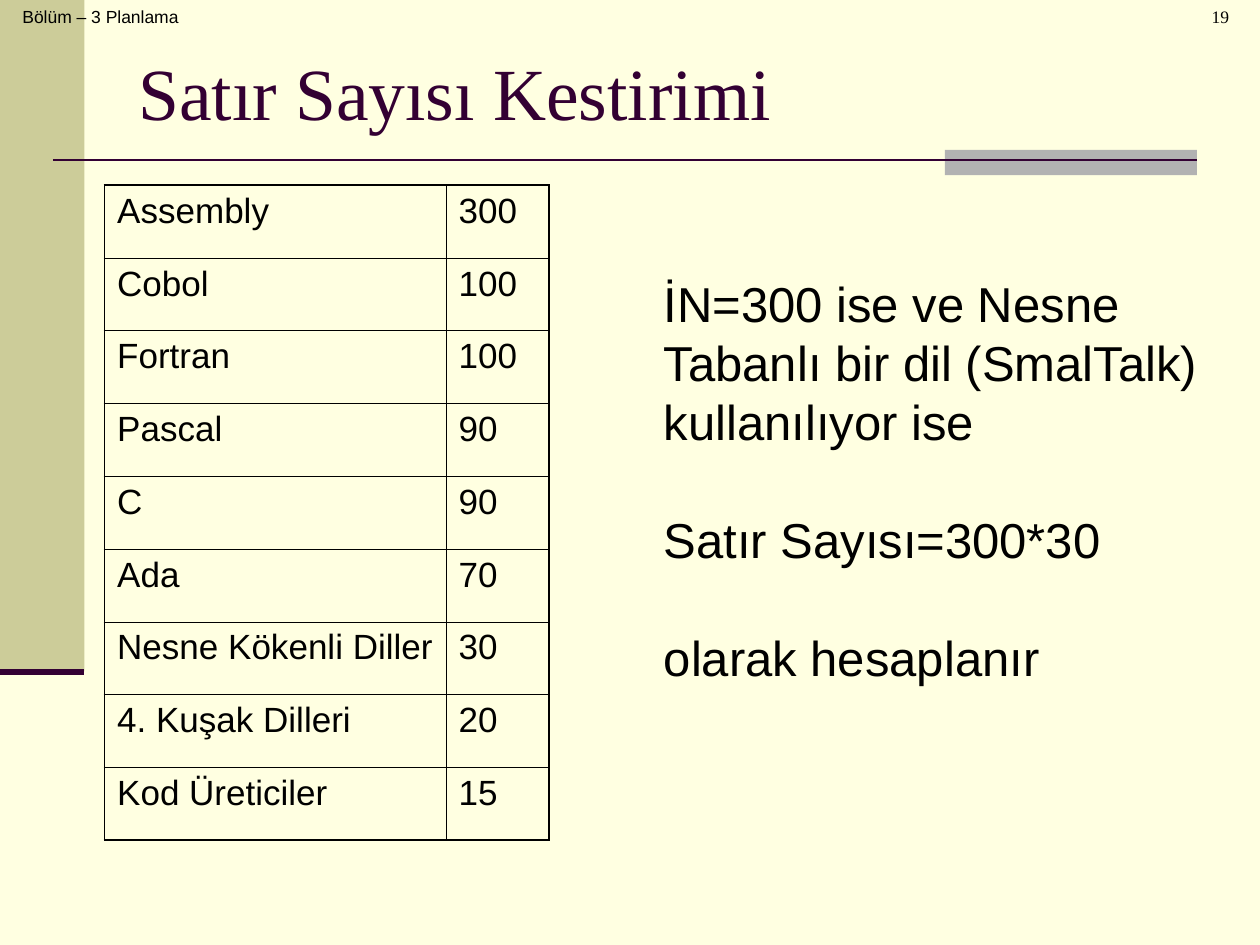
import pptx
import pptx.util
import pptx.dml.color
import pptx.enum.shapes
import pptx.enum.text
import pptx.oxml.ns
from dataclasses import dataclass
from lxml import etree

Inches = pptx.util.Inches
Pt = pptx.util.Pt
Color = pptx.dml.color.RGBColor
Align = pptx.enum.text.PP_ALIGN
Anchor = pptx.enum.text.MSO_ANCHOR
qn = pptx.oxml.ns.qn

CREAM = Color(0xFF, 0xFF, 0xE1)
OLIVE = Color(0xCC, 0xCC, 0x99)
GRAY = Color(0xB2, 0xB2, 0xB2)
PLUM = Color(0x33, 0x00, 0x33)
BLACK = Color(0x00, 0x00, 0x00)
SANS = "Arial"
SERIF = "Times New Roman"
THICK = 1.08
THIN = 0.45
PITCH = 33.7


@dataclass
class Bar:
    left: float
    top: float
    width: float
    height: float
    color: Color


@dataclass
class Rule:
    start: float
    end: float
    top: float
    weight: float


@dataclass
class Label:
    text: str
    left: float
    top: float
    width: float
    height: float
    size: float
    font: str = SANS
    color: Color = BLACK
    align: Align = Align.LEFT
    anchor: Anchor = Anchor.TOP
    inset: float = 0.1
    upper: float = 0.05
    wrap: bool = True


BARS = [
    Bar(0, 0, 0.67, 5.33, OLIVE),
    Bar(7.5, 1.19, 2, 0.2, GRAY),
]
RULES = [Rule(0.42, 9.5, 1.27, 1.5), Rule(0, 0.67, 5.33, 3.5)]
LABELS = [
    Label("Bölüm – 3 Planlama", 0.08, 0, 3.27, 0.5, 10),
    Label("Satır Sayısı Kestirimi", 1, 0.3, 8.5, 0.85, 42, SERIF, PLUM,
          anchor=Anchor.MIDDLE),
    Label("19", 8.78, 0, 1.57, 0.5, 10, SERIF, align=Align.CENTER, inset=0.34),
]
NOTE = Label(
    "İN=300 ise ve Nesne\nTabanlı bir dil (SmalTalk)\nkullanılıyor ise\n"
    "Satır Sayısı=300*30\nolarak hesaplanır",
    5.17, 1.65, 4.62, 3.84, 28, upper=0.52, wrap=False)
ROWS = [
    ("Assembly", 300),
    ("Cobol", 100),
    ("Fortran", 100),
    ("Pascal", 90),
    ("C", 90),
    ("Ada", 70),
    ("Nesne Kökenli Diller", 30),
    ("4. Kuşak Dilleri", 20),
    ("Kod Üreticiler", 15),
]
WIDTHS = [2.71, 0.82]


def style(para, size: float, font: str, color: Color) -> None:
    for run in para.runs:
        run.font.size = Pt(size)
        run.font.name = font
        run.font.color.rgb = color


def draw_bar(slide, bar: Bar) -> None:
    shape = slide.shapes.add_shape(
        pptx.enum.shapes.MSO_SHAPE.RECTANGLE, Inches(bar.left),
        Inches(bar.top), Inches(bar.width), Inches(bar.height))
    shape.shadow.inherit = False
    shape.fill.solid()
    shape.fill.fore_color.rgb = bar.color
    shape.line.fill.background()


def draw_rule(slide, rule: Rule) -> None:
    line = slide.shapes.add_connector(
        pptx.enum.shapes.MSO_CONNECTOR.STRAIGHT, Inches(rule.start),
        Inches(rule.top), Inches(rule.end), Inches(rule.top))
    line.line.color.rgb = PLUM
    line.line.width = Pt(rule.weight)
    etree.SubElement(line._element.spPr, qn("a:effectLst"))


def draw_label(slide, label: Label):
    box = slide.shapes.add_textbox(
        Inches(label.left), Inches(label.top),
        Inches(label.width), Inches(label.height))
    frame = box.text_frame
    frame.word_wrap = label.wrap
    frame.vertical_anchor = label.anchor
    frame.margin_left = Inches(label.inset)
    frame.margin_top = Inches(label.upper)
    frame.text = label.text
    for para in frame.paragraphs:
        para.alignment = label.align
        style(para, label.size, label.font, label.color)
    return frame


def draw_note(slide, label: Label) -> None:
    frame = draw_label(slide, label)
    for para in frame.paragraphs:
        para.line_spacing = Pt(PITCH)
    for para in frame.paragraphs[-2:]:
        para.space_before = Pt(PITCH)


def add_edge(cell, side: str, weight: float) -> None:
    props = cell._tc.get_or_add_tcPr()
    edge = etree.SubElement(props, qn(f"a:ln{side}"), w=str(int(Pt(weight))))
    fill = etree.SubElement(edge, qn("a:solidFill"))
    etree.SubElement(fill, qn("a:srgbClr"), val=str(BLACK))


def draw_table(slide) -> None:
    table = slide.shapes.add_table(
        len(ROWS), len(WIDTHS), Inches(0.83), Inches(1.47),
        Inches(sum(WIDTHS)), Inches(5.2)).table
    table.first_row = False
    table.horz_banding = False
    for col, width in zip(table.columns, WIDTHS):
        col.width = Inches(width)
    for r, row in enumerate(ROWS):
        for c, value in enumerate(row):
            cell = table.cell(r, c)
            cell.text_frame.text = str(value)
            para = cell.text_frame.paragraphs[0]
            para.space_before = Pt(5)
            style(para, 20, SANS, BLACK)
            outer = {"L": c == 0, "R": c == len(WIDTHS) - 1,
                     "T": r == 0, "B": r == len(ROWS) - 1}
            for side, edge in outer.items():
                add_edge(cell, side, THICK if edge else THIN)
            cell.fill.background()


def main() -> None:
    deck = pptx.Presentation()
    deck.slide_width = Inches(10)
    deck.slide_height = Inches(7.5)
    slide = deck.slides.add_slide(deck.slide_layouts[6])
    slide.background.fill.solid()
    slide.background.fill.fore_color.rgb = CREAM
    for bar in BARS:
        draw_bar(slide, bar)
    for rule in RULES:
        draw_rule(slide, rule)
    for label in LABELS:
        draw_label(slide, label)
    draw_table(slide)
    draw_note(slide, NOTE)
    deck.save("out.pptx")


if __name__ == "__main__":
    main()
